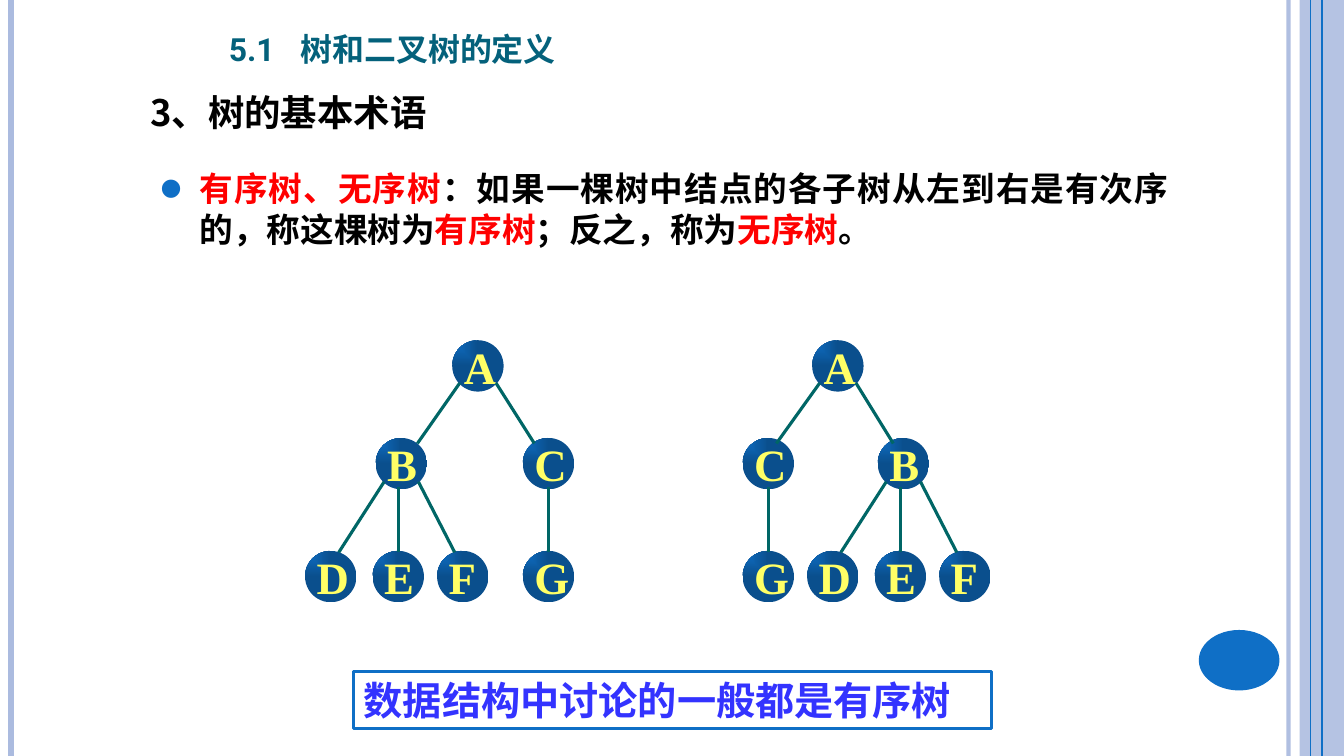
import lxml.etree
import pptx
import pptx.dml.color
import pptx.enum.shapes
import pptx.enum.text
import pptx.oxml.ns
import pptx.util

Inches, Pt = pptx.util.Inches, pptx.util.Pt
RGB = pptx.dml.color.RGBColor.from_string
SHAPE = pptx.enum.shapes.MSO_SHAPE
ANCHOR = pptx.enum.text.MSO_ANCHOR
ALIGN = pptx.enum.text.PP_ALIGN
qn = pptx.oxml.ns.qn

# Content
TITLE = "5.1\t树和二叉树的定义"
HEADING = "3、树的基本术语"
DEFINITION = [
    ("有序树、无序树", "key"),
    ("：如果一棵树中结点的各子树从左到右是有次序的，称这棵树为", "text"),
    ("有序树", "key"),
    ("；反之，称为", "text"),
    ("无序树", "key"),
    ("。", "text"),
]
CONCLUSION = "数据结构中讨论的一般都是有序树"

# Each tree: x of the root, then each child's centre x and the x where its edge lands
TREES = [
    {"root": 4.74, "children": {"B": (3.98, 4.14), "C": (5.44, 5.3)}},
    {"root": 8.31, "children": {"C": (7.62, 7.7), "B": (8.96, 8.86)}},
]
# Leaves below each child: offset of the leaf, and which side its edge leaves from
LEAVES = {"B": [("D", -0.7, -1), ("E", -0.03, 0), ("F", 0.61, 1)], "C": [("G", 0, 0)]}
ROW_Y = (3.63, 4.6, 5.72)
NODE = 0.51

# Frame lines: x, colour, width, opacity in percent
FRAME = [(12.78, "pale", 3, 93), (0.11, "pale", 4.5, 100),
         (13.11, "accent", 1.5, 100), (13, "accent", 0.75, 100)]

THEME = {
    "colors": {"accent": "0F6FC6", "pale": "ABBBDF", "title": "04617B", "text": "000000",
               "key": "FF0000", "note": "3333FF", "letter": "FFFF66", "edge": "006666"},
    "sizes": {"title": 28.5, "heading": 26, "body": 24, "note": 28, "letter": 32},
    "cjk": "Noto Sans CJK SC", "title_font": "Roboto", "serif": "Times New Roman",
}


def color(name):
    return RGB(THEME["colors"][name])


def sub(parent, tag, **attrs):
    el = lxml.etree.SubElement(parent, qn(tag))
    for key, value in attrs.items():
        el.set(key, str(value))
    return el


def set_alpha(sp, percent):
    clr = next(sp._element.spPr.iter(qn("a:srgbClr")))
    sub(clr, "a:alpha", val=percent * 1000)


def place(sp, x, y, w, h):
    sp.left, sp.top, sp.width, sp.height = map(Inches, (x, y, w, h))


def write(sp, runs, size, font, anchor=ANCHOR.TOP, align=ALIGN.LEFT, spacing=1.0,
          insets=(0.1, 0.05, 0.1, 0.05), bullet=False, tab=None, small_caps=False):
    """Fill the first paragraph of a shape with (text, colour) runs."""
    tf = sp.text_frame
    tf.word_wrap = True
    tf.auto_size = pptx.enum.text.MSO_AUTO_SIZE.NONE
    tf.vertical_anchor = anchor
    tf.margin_left, tf.margin_top, tf.margin_right, tf.margin_bottom = map(Inches, insets)
    p = tf.paragraphs[0]
    p.alignment, p.line_spacing, p.space_before = align, spacing, Pt(0)
    pPr = p._p.get_or_add_pPr()
    if bullet:
        pPr.set("marL", str(Inches(0.49)))
        pPr.set("indent", str(Inches(-0.4)))
        clr = sub(pPr, "a:buClr")
        sub(clr, "a:srgbClr", val=THEME["colors"]["accent"])
        sub(pPr, "a:buSzPct", val=200000)
        sub(pPr, "a:buChar", char="•")
    if tab:
        sub(sub(pPr, "a:tabLst"), "a:tab", pos=Inches(tab), algn="l")
    for text, color_name in runs:
        r = p.add_run()
        r.text = text
        r.font.size, r.font.bold, r.font.name = Pt(THEME["sizes"][size]), True, font
        r.font.color.rgb = color(color_name)
        rPr = r._r.get_or_add_rPr()
        sub(rPr, "a:ea", typeface=THEME["cjk"])
        if small_caps:
            rPr.set("cap", "small")


def add_line(shapes, x1, y1, x2, y2, color_name, width):
    line = shapes.add_connector(pptx.enum.shapes.MSO_CONNECTOR.STRAIGHT,
                                *map(Inches, (x1, y1, x2, y2)))
    line.line.color.rgb = color(color_name)
    line.line.width = Pt(width)
    sub(line._element.spPr, "a:effectLst")
    return line


def add_shape(shapes, kind, x, y, w, h, fill=None):
    sp = shapes.add_shape(kind, *map(Inches, (x, y, w, h)))
    sp.shadow.inherit = False
    sp.line.fill.background()
    if fill:
        sp.fill.solid()
        sp.fill.fore_color.rgb = color(fill)
    else:
        sp.fill.background()
    return sp


def add_node(shapes, letter, x, y):
    sp = add_shape(shapes, SHAPE.OVAL, x - NODE / 2, y - NODE / 2, NODE, NODE)
    sp.fill.gradient()
    for stop in sp.fill.gradient_stops:
        stop.color.rgb = color("accent")
    grad = sp._element.spPr.find(qn("a:gradFill"))
    # Darken the outer stop and spread from the top left corner
    sub(list(grad.iter(qn("a:srgbClr")))[-1], "a:shade", val=46275)
    grad.remove(grad.find(qn("a:lin")))
    spread = sub(grad, "a:path", path="rect")
    sub(spread, "a:fillToRect", r=100000, b=100000)
    write(sp, [(letter, "letter")], "letter", THEME["serif"], spacing=0.8,
          insets=(0.04, 0.02, 0.04, 0.04))


def add_tree(slide, tree):
    shapes = slide.shapes.add_group_shape().shapes
    root_y, child_y, leaf_y = ROW_Y
    nodes, edges = [("A", tree["root"], root_y)], []
    for child, (x, landing_x) in tree["children"].items():
        nodes.append((child, x, child_y))
        side = 1 if x > tree["root"] else -1
        edges.append((tree["root"] + side * 0.18, root_y + 0.17, landing_x, child_y - 0.2))
        for leaf, dx, side in LEAVES[child]:
            nodes.append((leaf, x + dx, leaf_y))
            if side:
                edges.append((x + side * 0.17, child_y + 0.18,
                              x + dx - side * 0.08, leaf_y - 0.24))
            else:
                edges.append((x + dx, child_y + 0.23, x + dx, leaf_y - 0.24))
    for node in nodes:
        add_node(shapes, *node)
    for edge in edges:
        add_line(shapes, *edge, "edge", 2.25)


def main():
    prs = pptx.Presentation()
    prs.slide_width, prs.slide_height = Inches(13.33), Inches(7.5)
    slide = prs.slides.add_slide(prs.slide_layouts[1])

    # Side frame
    band = add_shape(slide.shapes, SHAPE.RECTANGLE, 12.89, 0, 0.44, 7.5, "pale")
    set_alpha(band, 87)
    for x, color_name, width, opacity in FRAME:
        line = add_line(slide.shapes, x, 0, x, 7.5, color_name, width)
        if opacity < 100:
            set_alpha(line, opacity)
    add_shape(slide.shapes, SHAPE.OVAL, 11.89, 6.25, 0.8, 0.6, "accent")

    # Title, heading and definition
    title, body = slide.shapes.title, slide.placeholders[1]
    place(title, 2.17, 0.13, 5.37, 0.61)
    write(title, [(TITLE, "title")], "title", THEME["title_font"],
          anchor=ANCHOR.BOTTOM, tab=0.71, small_caps=True)
    heading = slide.shapes.add_textbox(*map(Inches, (1.39, 0.84, 10.55, 0.58)))
    write(heading, [(HEADING, "text")], "heading", THEME["cjk"])
    place(body, 1.39, 1.62, 10.3, 1.18)
    write(body, DEFINITION, "body", THEME["cjk"], align=ALIGN.JUSTIFY, bullet=True)

    # Trees
    for tree in TREES:
        add_tree(slide, tree)

    # Conclusion
    box = add_shape(slide.shapes, SHAPE.RECTANGLE, 3.51, 6.66, 6.32, 0.57)
    box.line.color.rgb = color("accent")
    box.line.width = Pt(2.25)
    write(box, [(CONCLUSION, "note")], "note", THEME["serif"], anchor=ANCHOR.MIDDLE)

    prs.save("out.pptx")


if __name__ == "__main__":
    main()
